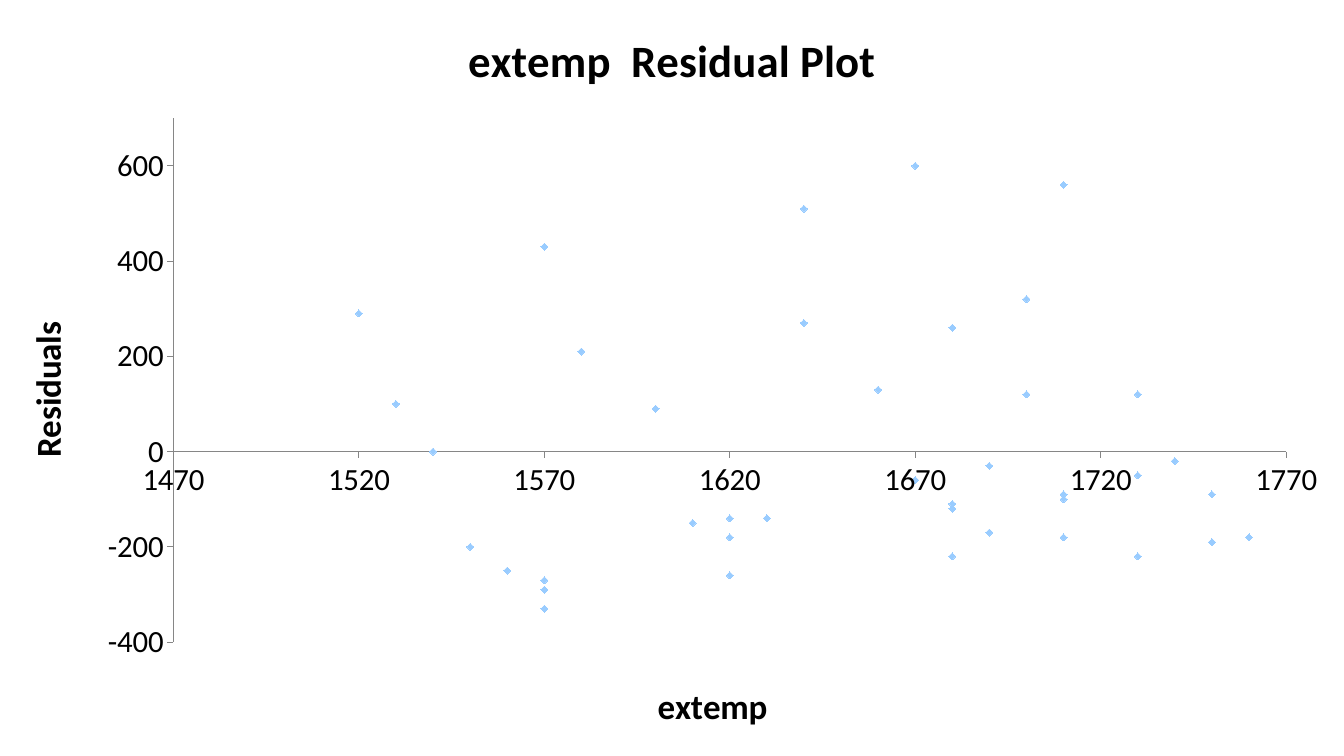
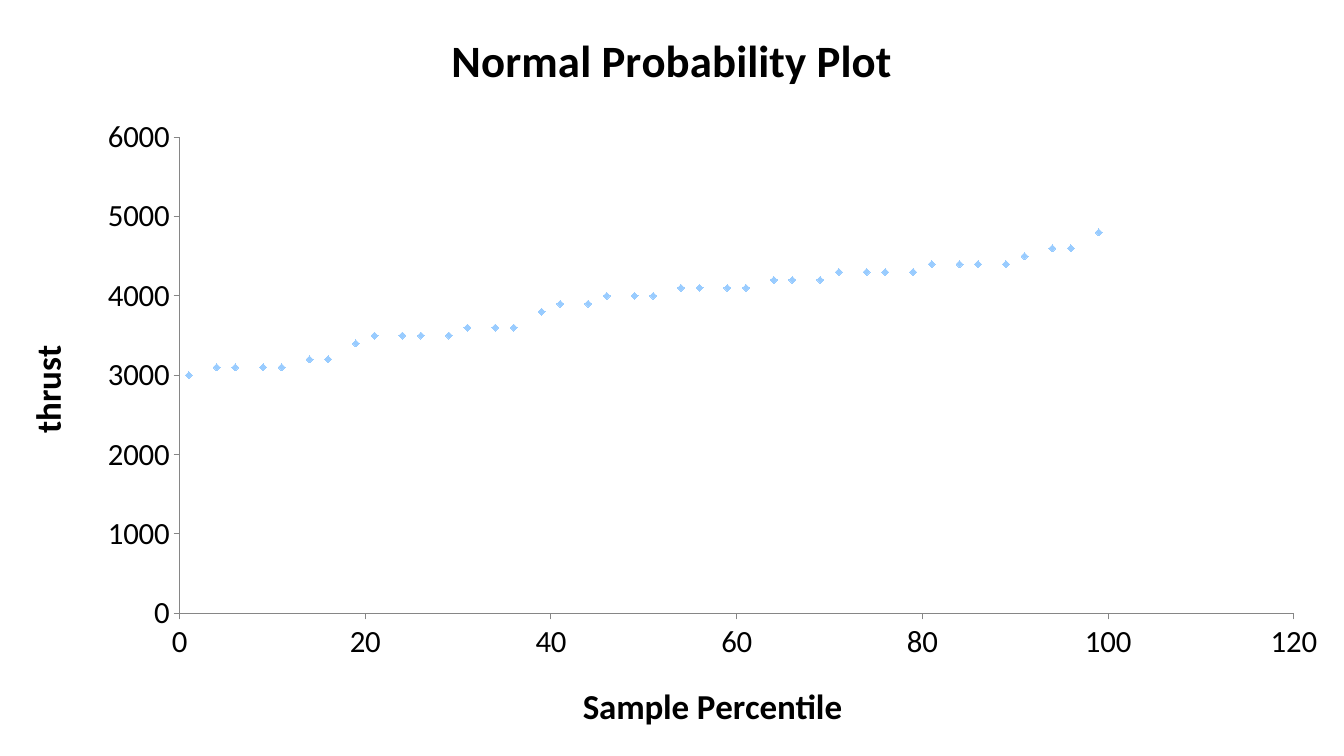
"""Build two residual-analysis slides, each filled by one scatter chart."""
from dataclasses import dataclass

from pptx import Presentation
from pptx import util as u
from pptx.chart.data import XyChartData
from pptx.dml.color import RGBColor
from pptx.enum import chart as ch


@dataclass(frozen=True)
class Theme:
    """Colours, font and type sizes of the deck."""
    font: str = "Calibri"
    ink: str = "000000"
    axis: str = "868686"
    marker: str = "99CCFF"
    title: int = 32
    axis_title: int = 25
    label: int = 22
    base: int = 10
    marker_size: int = 5
    axis_width: float = 0.75


THEME = Theme()
WIDTH, HEIGHT = u.Inches(13.33), u.Inches(7.5)

RESIDUALS = [
    (1730, 120), (1700, 120), (1660, 130), (1600, 90), (1540, 0),
    (1710, 560), (1670, 600), (1640, 510), (1570, 430), (1520, 290),
    (1740, -20), (1710, -90), (1680, -120), (1630, -140), (1570, -270),
    (1700, 320), (1680, 260), (1640, 270), (1580, 210), (1530, 100),
    (1750, -190), (1710, -180), (1680, -220), (1620, -260), (1570, -330),
    (1750, -90), (1710, -100), (1680, -110), (1620, -180), (1560, -250),
    (1730, -50), (1690, -30), (1670, -60), (1610, -150), (1550, -200),
    (1760, -180), (1730, -220), (1690, -170), (1620, -140), (1570, -290),
]

THRUSTS = [
    3000, 3100, 3100, 3100, 3100, 3200, 3200, 3400, 3500, 3500,
    3500, 3500, 3600, 3600, 3600, 3800, 3900, 3900, 4000, 4000,
    4000, 4100, 4100, 4100, 4100, 4200, 4200, 4200, 4300, 4300,
    4300, 4300, 4400, 4400, 4400, 4400, 4500, 4600, 4600, 4800,
]


def percentile_points(values):
    """Pair sorted values with the middle percentile of each equal share."""
    share = 100 / len(values)
    return [(round((i + 0.5) * share), v) for i, v in enumerate(values)]


def style_font(font, size, bold=False):
    """Apply the theme font in one size and weight."""
    font.name, font.size, font.bold = THEME.font, u.Pt(size), bold
    font.color.rgb = RGBColor.from_string(THEME.ink)


def write(tf, text, size, bold=True):
    """Write one formatted run into a text frame."""
    r = tf.paragraphs[0].add_run()
    r.text = text
    style_font(r.font, size, bold)


def style_axis(axis, title, low, high, step):
    """Give an axis its title, scale, line and tick labels."""
    write(axis.axis_title.text_frame, title, THEME.axis_title)
    axis.minimum_scale, axis.maximum_scale, axis.major_unit = low, high, step
    axis.has_major_gridlines = False
    axis.major_tick_mark = ch.XL_TICK_MARK.OUTSIDE
    axis.minor_tick_mark = ch.XL_TICK_MARK.NONE
    axis.tick_label_position = ch.XL_TICK_LABEL_POSITION.NEXT_TO_AXIS
    axis.format.line.width = u.Pt(THEME.axis_width)
    axis.format.line.color.rgb = RGBColor.from_string(THEME.axis)
    labels = axis.tick_labels
    labels.number_format, labels.number_format_is_linked = "0", False
    style_font(labels.font, THEME.label)


def style_series(series):
    """Show a series as plain diamonds without a joining line."""
    series.format.line.fill.background()
    marker = series.marker
    marker.style, marker.size = ch.XL_MARKER_STYLE.DIAMOND, THEME.marker_size
    marker.format.fill.solid()
    marker.format.fill.fore_color.rgb = RGBColor.from_string(THEME.marker)
    marker.format.line.fill.background()


def add_scatter_slide(prs, title, points, x_axis, y_axis):
    """Add a slide filled by a scatter chart; axes are title, low, high, step."""
    s = prs.slides.add_slide(prs.slide_layouts.get_by_name("Blank"))
    data = XyChartData()
    series = data.add_series("Series 1")
    for x, y in points:
        series.add_data_point(x, y)
    chart = s.shapes.add_chart(
        ch.XL_CHART_TYPE.XY_SCATTER, 0, 0, WIDTH, HEIGHT, data).chart
    style_font(chart.font, THEME.base)
    chart.has_legend = False
    write(chart.chart_title.text_frame, title, THEME.title)
    plot = chart.plots[0]
    plot.vary_by_categories = False
    style_series(plot.series[0])
    style_axis(chart.category_axis, *x_axis)
    style_axis(chart.value_axis, *y_axis)
    body = chart.value_axis.axis_title._element.xpath(".//a:bodyPr")[0]
    body.set("rot", "-5400000")
    body.set("vert", "horz")


def main():
    """Build and save the deck."""
    prs = Presentation()
    prs.slide_width, prs.slide_height = WIDTH, HEIGHT
    add_scatter_slide(prs, "extemp  Residual Plot", RESIDUALS,
                      ("extemp", 1470, 1770, 50),
                      ("Residuals", -400, 700, 200))
    add_scatter_slide(prs, "Normal Probability Plot",
                      percentile_points(THRUSTS),
                      ("Sample Percentile", 0, 120, 20),
                      ("thrust", 0, 6000, 1000))
    prs.save("out.pptx")


if __name__ == "__main__":
    main()
